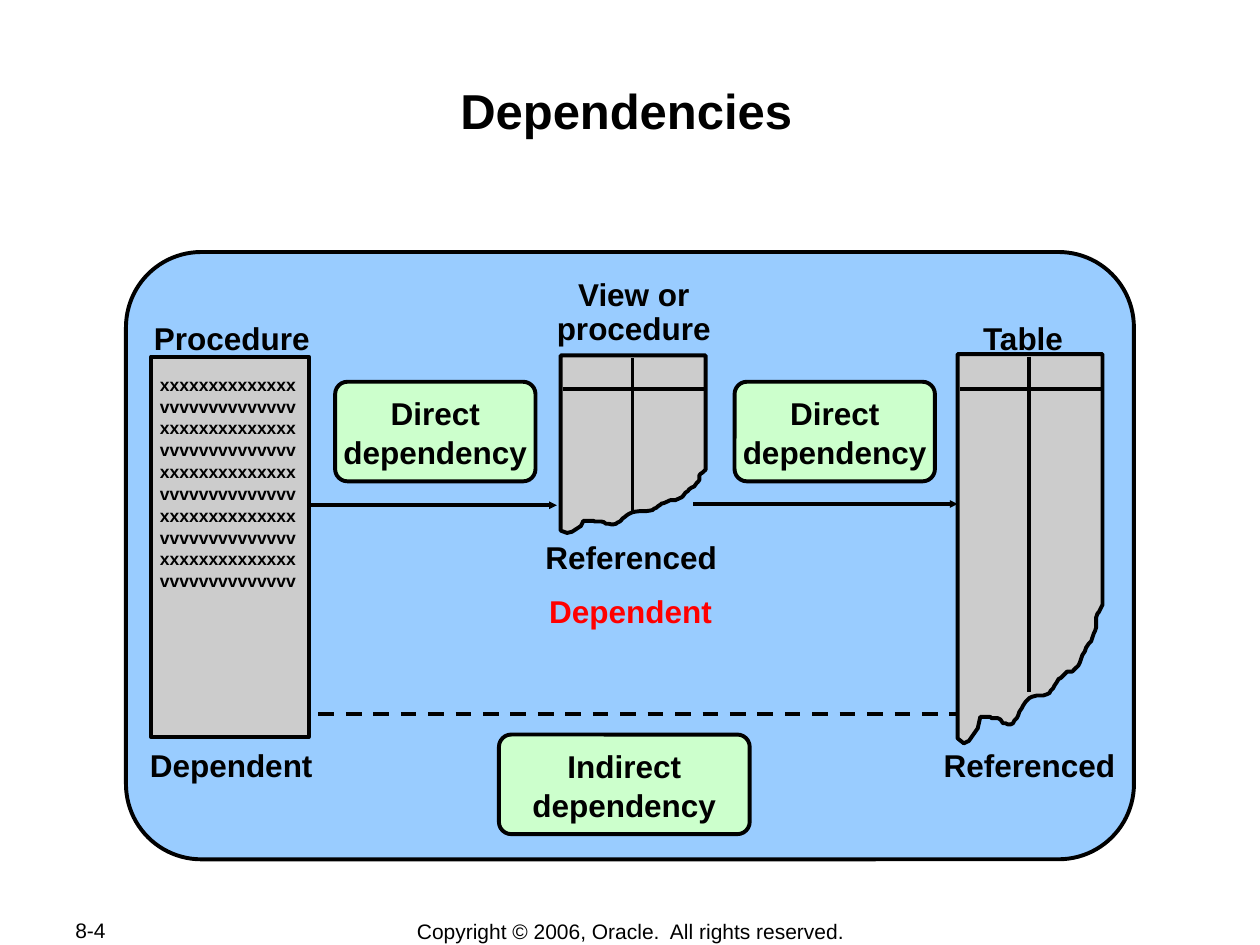
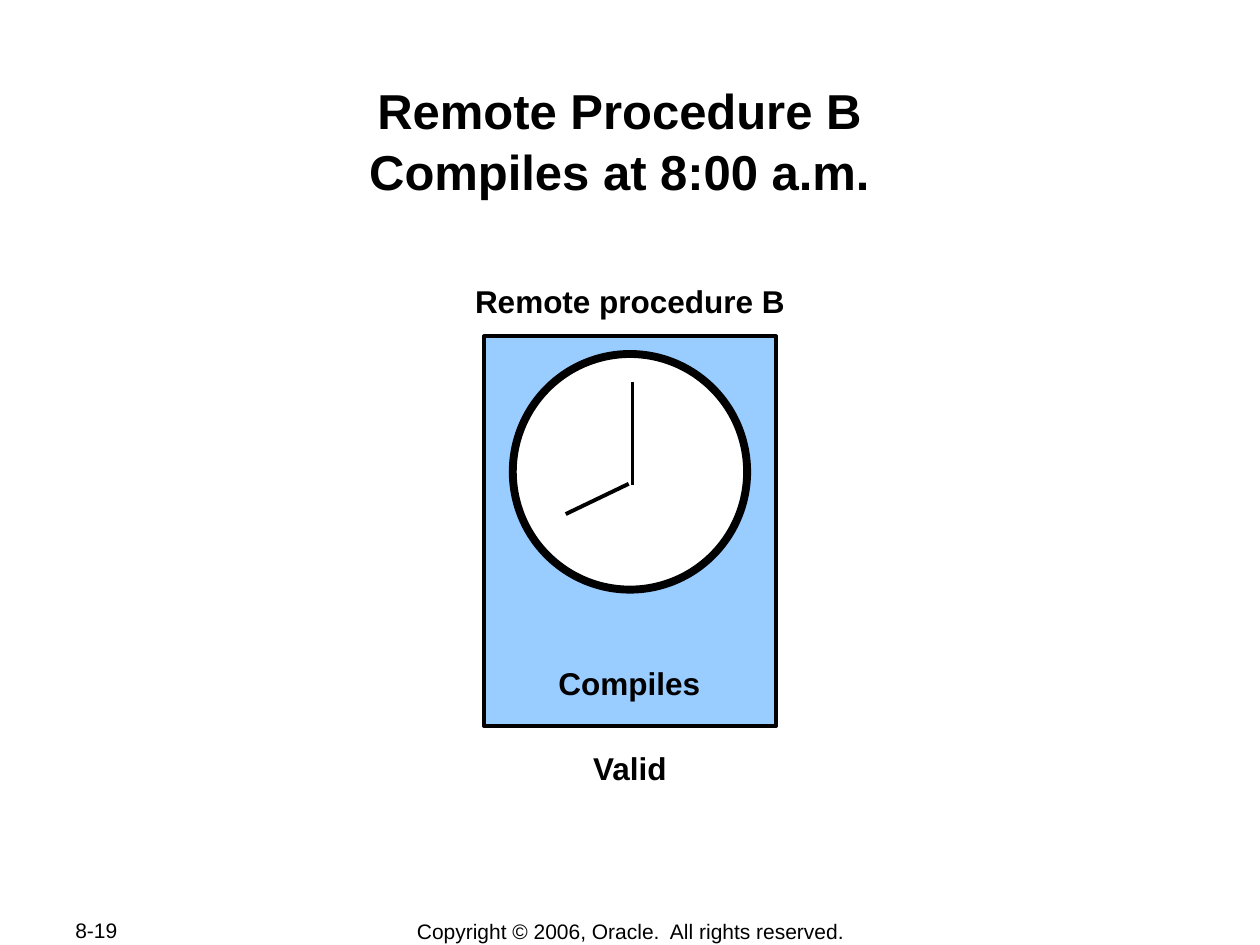
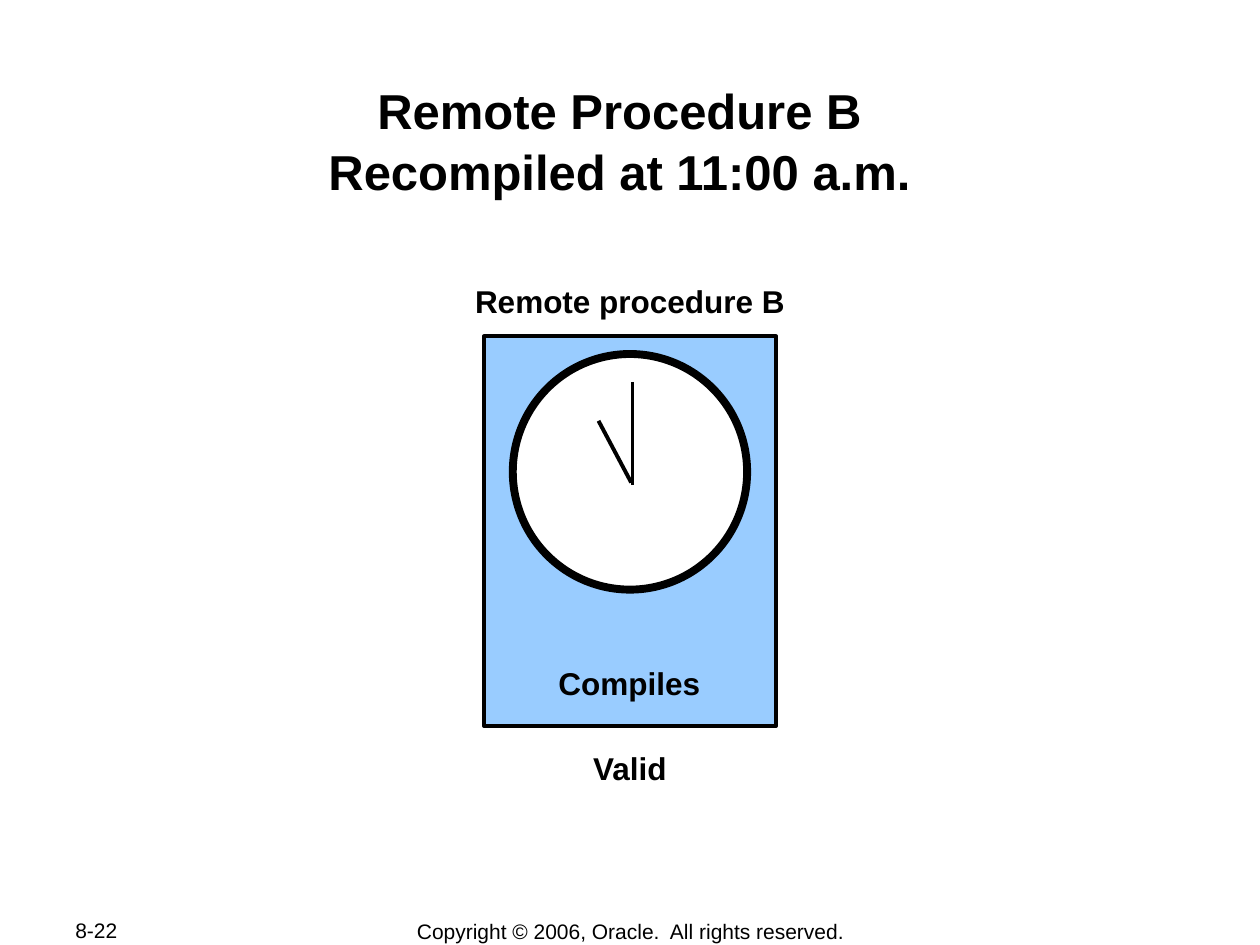
"""Three slides on procedure dependencies and remote compilation."""
from copy import deepcopy
from dataclasses import dataclass
from typing import NamedTuple

from lxml import etree
from pptx import Presentation
from pptx.dml.color import RGBColor
from pptx.enum import dml, shapes, text
from pptx.oxml.ns import qn
from pptx.util import Inches, Pt

# Shared style
BLACK = RGBColor(0x00, 0x00, 0x00)
WHITE = RGBColor(0xFF, 0xFF, 0xFF)
RED = RGBColor(0xFF, 0x00, 0x00)
BLUE = RGBColor(0x99, 0xCC, 0xFF)
GREEN = RGBColor(0xCC, 0xFF, 0xCC)
GRAY = RGBColor(0xCC, 0xCC, 0xCC)
FONT = "Arial"
LINE_WIDTH = 2.25
LINE_SPACING = 1.04
TIGHT_SPACING = 0.89
CORNER = 0.124
COPYRIGHT = "Copyright © 2006, Oracle.  All rights reserved."
LEFT, CENTER = text.PP_ALIGN.LEFT, text.PP_ALIGN.CENTER
SHAPE = shapes.MSO_SHAPE


class Box(NamedTuple):
    left: float
    top: float
    width: float
    height: float

    def lengths(self) -> list:
        return [Inches(value) for value in self]


class Point(NamedTuple):
    x: float
    y: float


@dataclass
class Label:
    lines: list[str]
    box: Box
    size: float = 18
    bold: bool = True
    color: RGBColor = BLACK
    align: text.PP_ALIGN = CENTER
    anchor: text.MSO_ANCHOR = text.MSO_ANCHOR.TOP
    inset: float = 0.1
    spacing: float = LINE_SPACING


@dataclass
class Line:
    start: Point
    end: Point
    arrow: bool = False
    dashed: bool = False


@dataclass
class Clock:
    page: str
    title: list[str]
    hour_start: Point
    hour_tip: Point


# Torn lower edge of a table: distance from the left and from the top
TABLE_WIDTH = 1.15
TORN_HEIGHT = 3.09
TORN_EDGE = [
    (0, 3.05), (0.05, 3.09), (0.09, 3.07), (0.16, 2.97), (0.18, 2.88),
    (0.26, 2.88), (0.27, 2.89), (0.32, 2.89), (0.34, 2.9), (0.36, 2.93),
    (0.38, 2.93), (0.4, 2.94), (0.42, 2.94), (0.44, 2.93), (0.45, 2.91),
    (0.47, 2.89), (0.48, 2.87), (0.49, 2.84), (0.51, 2.81), (0.52, 2.79),
    (0.54, 2.76), (0.55, 2.75), (0.57, 2.73), (0.59, 2.72), (0.63, 2.71),
    (0.68, 2.71), (0.71, 2.7), (0.73, 2.69), (0.74, 2.67), (0.76, 2.65),
    (0.77, 2.63), (0.79, 2.6), (0.8, 2.58), (0.82, 2.57), (0.84, 2.55),
    (0.86, 2.53), (0.87, 2.52), (0.91, 2.52), (0.92, 2.51), (0.94, 2.49),
    (0.96, 2.47), (0.97, 2.45), (0.98, 2.42), (0.99, 2.39), (1.01, 2.36),
    (1.02, 2.33), (1.04, 2.3), (1.06, 2.28), (1.07, 2.25), (1.08, 2.22),
    (1.09, 2.2), (1.1, 2.17), (1.1, 2.09), (1.11, 2.06), (1.12, 2.05),
    (1.15, 1.99),
]


def write_lines(frame, label: Label) -> None:
    frame.word_wrap = False
    frame.auto_size = text.MSO_AUTO_SIZE.NONE
    frame.vertical_anchor = label.anchor
    frame.margin_left = frame.margin_right = Inches(label.inset)
    frame.margin_top = frame.margin_bottom = Inches(label.inset / 2)
    for index, line in enumerate(label.lines):
        paragraph = frame.paragraphs[0] if index == 0 else frame.add_paragraph()
        paragraph.alignment = label.align
        paragraph.line_spacing = label.spacing
        add_run(paragraph, line, label.size, label.bold, label.color)


def add_run(paragraph, words: str, size: float, bold: bool, color: RGBColor):
    run = paragraph.add_run()
    run.text = words
    run.font.name = FONT
    run.font.size = Pt(size)
    run.font.bold = bold
    run.font.color.rgb = color
    return run


def add_label(slide, label: Label) -> None:
    textbox = slide.shapes.add_textbox(*label.box.lengths())
    write_lines(textbox.text_frame, label)


def paint(shape, fill: RGBColor, width: float = LINE_WIDTH) -> None:
    shape.shadow.inherit = False
    shape.fill.solid()
    shape.fill.fore_color.rgb = fill
    shape.line.color.rgb = BLACK
    shape.line.width = Pt(width)


def add_block(slide, kind: SHAPE, box: Box, fill: RGBColor,
              width: float = LINE_WIDTH):
    shape = slide.shapes.add_shape(kind, *box.lengths())
    paint(shape, fill, width)
    if kind == SHAPE.ROUNDED_RECTANGLE:
        shape.adjustments[0] = CORNER
    return shape


def add_line(slide, line: Line) -> None:
    ends = [Inches(value) for value in (*line.start, *line.end)]
    connector = slide.shapes.add_connector(shapes.MSO_CONNECTOR.STRAIGHT, *ends)
    connector.line.color.rgb = BLACK
    connector.line.width = Pt(LINE_WIDTH)
    if line.dashed:
        connector.line.dash_style = dml.MSO_LINE.DASH
    if line.arrow:
        etree.SubElement(connector.line._get_or_add_ln(), qn("a:tailEnd"),
                         type="triangle", w="sm", len="sm")
    etree.SubElement(connector._element.spPr, qn("a:effectLst"))


def add_title(slide, lines: list[str]) -> None:
    title = slide.shapes.title
    title.left, title.top, title.width, title.height = Box(
        0.97, 0.61, 8, 0.96).lengths()
    frame = title.text_frame
    frame.word_wrap = True
    frame.auto_size = text.MSO_AUTO_SIZE.NONE
    frame.vertical_anchor = text.MSO_ANCHOR.TOP
    frame.margin_left = frame.margin_right = Inches(0.01)
    frame.margin_top = frame.margin_bottom = Inches(0.01)
    paragraph = frame.paragraphs[0]
    paragraph.alignment = CENTER
    paragraph.line_spacing = LINE_SPACING
    paragraph.space_before = Pt(0)
    for index, line in enumerate(lines):
        if index:
            paragraph.add_line_break()
        run = add_run(paragraph, line, 28, True, BLACK)
    # Line breaks take the size of the words around them
    for line_break in paragraph._p.findall(qn("a:br")):
        line_break.append(deepcopy(run._r.rPr))


def start_slide(presentation, page: str, title: list[str]):
    slide = presentation.slides.add_slide(presentation.slide_layouts[5])
    middle = text.MSO_ANCHOR.MIDDLE
    add_label(slide, Label([page], Box(0.5, 7.28, 1.06, 0.2), 12, False,
                           align=LEFT, anchor=middle))
    add_label(slide, Label([COPYRIGHT], Box(2.76, 7.28, 4.49, 0.21), 12, False,
                           anchor=middle))
    add_title(slide, title)
    return slide


def add_torn_table(slide, box: Box, divider_height: float,
                   header_y: float) -> None:
    stretch = box.height / TORN_HEIGHT
    corners = [(0, 0)] + [(x, y * stretch) for x, y in TORN_EDGE]
    corners.append((TABLE_WIDTH, 0))
    points = [(Inches(box.left + x), Inches(box.top + y)) for x, y in corners]
    builder = slide.shapes.build_freeform(*points[0], scale=1.0)
    builder.add_line_segments(points[1:], close=True)
    paint(builder.convert_to_shape(), GRAY)
    middle = box.left + 0.57
    add_line(slide, Line(Point(middle, box.top + 0.02),
                         Point(middle, box.top + divider_height)))
    add_line(slide, Line(Point(box.left + 0.02, header_y),
                         Point(box.left + box.width, header_y)))


def add_dependency(slide, kind: str, box: Box) -> None:
    block = add_block(slide, SHAPE.ROUNDED_RECTANGLE, box, GREEN)
    write_lines(block.text_frame, Label([kind, "dependency"], box,
                                        anchor=text.MSO_ANCHOR.MIDDLE))


def build_dependencies(presentation) -> None:
    slide = start_slide(presentation, "8-4", ["Dependencies"])
    add_block(slide, SHAPE.ROUNDED_RECTANGLE, Box(1, 2, 8, 4.82), BLUE)

    # Arrows lie behind the procedure and the tall table
    for line in (
        Line(Point(2.31, 4.01), Point(4.42, 4.01), arrow=True),
        Line(Point(2.31, 5.67), Point(7.78, 5.67), arrow=True, dashed=True),
    ):
        add_line(slide, line)

    # View, table and dependency boxes
    add_torn_table(slide, Box(4.45, 2.82, TABLE_WIDTH, 1.41), 1.24, 3.09)
    add_line(slide, Line(Point(5.5, 4), Point(7.6, 4), arrow=True))
    add_torn_table(slide, Box(7.6, 2.81, TABLE_WIDTH, TORN_HEIGHT), 2.68, 3.09)
    add_dependency(slide, "Direct", Box(2.66, 3.03, 1.59, 0.79))
    add_dependency(slide, "Direct", Box(5.83, 3.03, 1.59, 0.79))
    add_dependency(slide, "Indirect", Box(3.96, 5.83, 1.99, 0.79))

    # Procedure with its code
    add_block(slide, SHAPE.RECTANGLE, Box(1.2, 2.83, 1.25, 3.02), GRAY)
    add_label(slide, Label(["x" * 14, "v" * 14] * 5,
                           Box(1.19, 2.92, 1.24, 1.92), 10, align=LEFT,
                           inset=0.08))

    # Captions
    for label in (
        Label(["View or", "procedure"], Box(4.32, 2.17, 1.42, 0.61),
              spacing=TIGHT_SPACING),
        Label(["Procedure"], Box(1.12, 2.47, 1.44, 0.4)),
        Label(["Table"], Box(7.69, 2.47, 0.86, 0.4)),
        Label(["Referenced"], Box(4.23, 4.21, 1.56, 0.4)),
        Label(["Dependent"], Box(4.26, 4.64, 1.49, 0.4), color=RED),
        Label(["Dependent"], Box(1.09, 5.86, 1.49, 0.4)),
        Label(["Referenced"], Box(7.39, 5.86, 1.56, 0.4)),
    ):
        add_label(slide, label)


def build_clock(presentation, clock: Clock) -> None:
    slide = start_slide(presentation, clock.page, clock.title)
    add_block(slide, SHAPE.RECTANGLE, Box(3.84, 2.67, 2.32, 3.09), BLUE)
    add_block(slide, SHAPE.OVAL, Box(4.07, 2.81, 1.86, 1.87), WHITE, 4.5)
    add_line(slide, Line(Point(5.02, 3.03), Point(5.02, 3.85)))
    add_line(slide, Line(clock.hour_start, clock.hour_tip))
    for label in (
        Label(["Remote procedure B"], Box(3.67, 2.18, 2.66, 0.4)),
        Label(["Compiles"], Box(4.33, 5.21, 1.33, 0.4)),
        Label(["Valid"], Box(4.6, 5.88, 0.8, 0.4)),
    ):
        add_label(slide, label)


def main() -> None:
    presentation = Presentation()
    presentation.slide_width = Inches(10)
    presentation.slide_height = Inches(7.5)
    build_dependencies(presentation)
    for clock in (
        Clock("8-19", ["Remote Procedure B ", "Compiles at 8:00 a.m. "],
              Point(4.99, 3.84), Point(4.49, 4.08)),
        Clock("8-22", ["Remote Procedure B ", "Recompiled at 11:00 a.m. "],
              Point(5.01, 3.83), Point(4.75, 3.34)),
    ):
        build_clock(presentation, clock)
    presentation.save("out.pptx")


if __name__ == "__main__":
    main()
